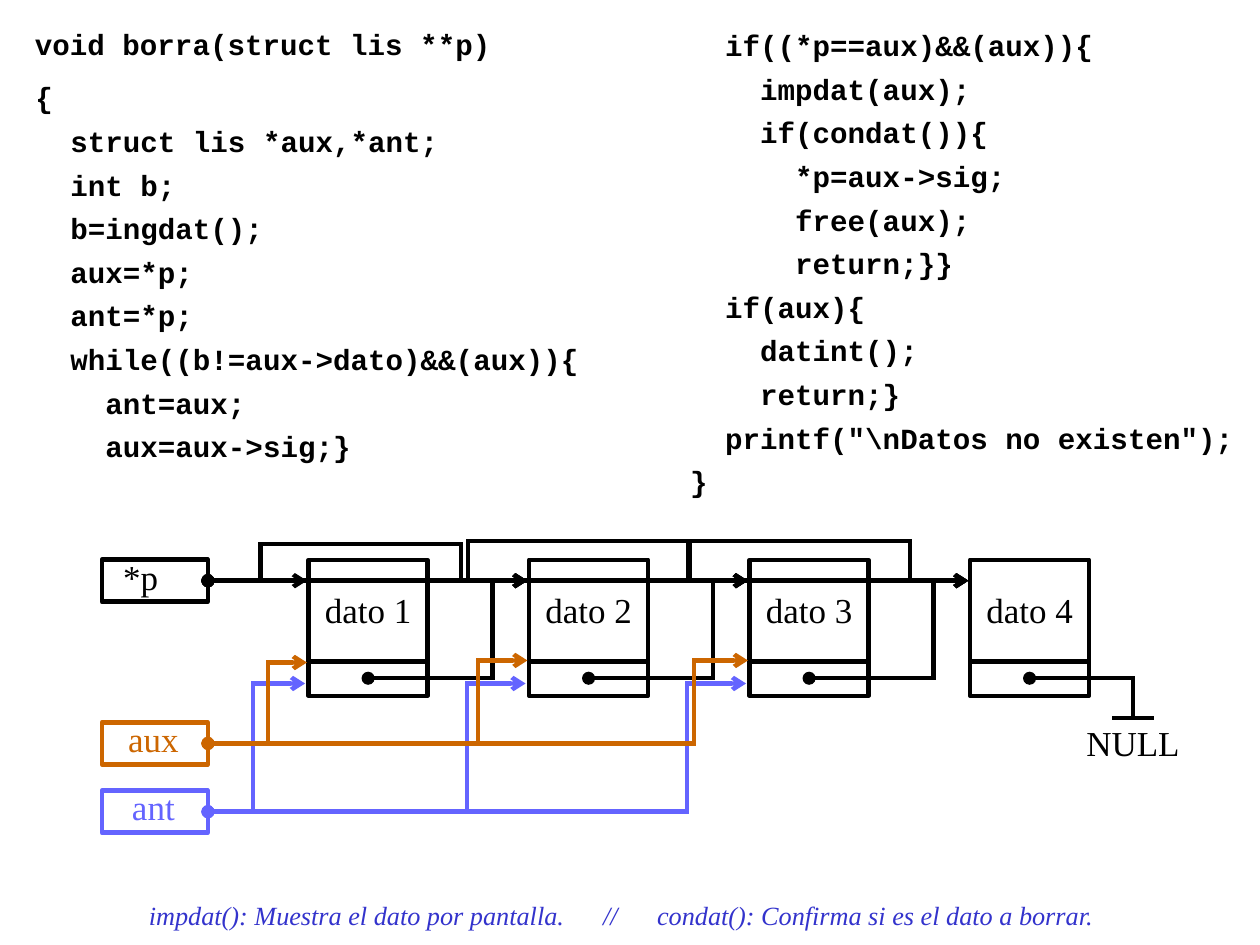
from dataclasses import dataclass
from itertools import pairwise

from pptx import Presentation
from pptx.dml.color import RGBColor
from pptx.enum.shapes import MSO_CONNECTOR, MSO_SHAPE
from pptx.enum.text import MSO_ANCHOR, MSO_AUTO_SIZE, PP_ALIGN
from pptx.oxml.ns import qn
from pptx.util import Pt
from lxml.etree import SubElement


@dataclass(frozen=True)
class Theme:
    black: str = "000000"
    white: str = "FFFFFF"
    aux: str = "CC6600"
    ant: str = "6464FF"
    caption: str = "3333CC"
    code_font: str = "Courier New"
    label_font: str = "Times New Roman"
    code_size: float = 20
    label_size: float = 24
    caption_size: float = 18
    line_width: float = 3
    code_gap: float = 5.9


class SlideBuilder:
    def __init__(self, slide, theme):
        self.slide = slide
        self.theme = theme

    def style(self, paragraph, font_name, size, color, bold=False, italic=False):
        font = paragraph.font
        font.name, font.size = font_name, Pt(size)
        font.bold, font.italic = bold, italic
        font.color.rgb = RGBColor.from_string(color)

    def code(self, placeholder, left, top, width, height, lines):
        placeholder.left, placeholder.top = Pt(left), Pt(top)
        placeholder.width, placeholder.height = Pt(width), Pt(height)
        frame = placeholder.text_frame
        frame.text = "\n".join(lines)
        frame.word_wrap = True
        frame.auto_size = MSO_AUTO_SIZE.NONE
        frame.vertical_anchor = MSO_ANCHOR.TOP
        for index, paragraph in enumerate(frame.paragraphs):
            properties = paragraph._p.get_or_add_pPr()
            properties.set("marL", "0")
            properties.set("indent", "0")
            SubElement(properties, qn("a:buNone"))
            paragraph.alignment = PP_ALIGN.LEFT
            paragraph.space_before = Pt(self.theme.code_gap if index else 0)
            self.style(paragraph, self.theme.code_font, self.theme.code_size,
                       self.theme.black, bold=True)

    def label(self, frame, text, color, right=0, bottom=0):
        """Centre text in a frame; right and bottom insets shift it left and up."""
        frame.margin_left = frame.margin_top = 0
        frame.margin_right, frame.margin_bottom = Pt(right), Pt(bottom)
        frame.word_wrap = False
        frame.vertical_anchor = MSO_ANCHOR.MIDDLE
        paragraph = frame.paragraphs[0]
        paragraph.text = text
        paragraph.alignment = PP_ALIGN.CENTER
        self.style(paragraph, self.theme.label_font, self.theme.label_size, color)

    def box(self, left, top, width, height, text, color, right=0, bottom=0):
        shape = self.slide.shapes.add_shape(
            MSO_SHAPE.RECTANGLE, Pt(left), Pt(top), Pt(width), Pt(height))
        shape.shadow.inherit = False
        shape.fill.solid()
        shape.fill.fore_color.rgb = RGBColor.from_string(self.theme.white)
        shape.line.color.rgb = RGBColor.from_string(color)
        shape.line.width = Pt(self.theme.line_width)
        self.label(shape.text_frame, text, color, right, bottom)
        return shape

    def text(self, left, top, width, height, text, color):
        box = self.slide.shapes.add_textbox(Pt(left), Pt(top), Pt(width), Pt(height))
        self.label(box.text_frame, text, color)

    def caption(self, left, top, width, height, text, tab_stops):
        box = self.slide.shapes.add_textbox(Pt(left), Pt(top), Pt(width), Pt(height))
        box.text_frame.word_wrap = True
        paragraph = box.text_frame.paragraphs[0]
        paragraph.text = text
        tabs = SubElement(paragraph._p.get_or_add_pPr(), qn("a:tabLst"))
        for position in tab_stops:
            SubElement(tabs, qn("a:tab"), pos=str(Pt(position)), algn="l")
        self.style(paragraph, self.theme.label_font, self.theme.caption_size,
                   self.theme.caption, italic=True)

    def line(self, start, end, color, head=None, tail=None):
        connector = self.slide.shapes.add_connector(
            MSO_CONNECTOR.STRAIGHT, *(Pt(value) for value in (*start, *end)))
        connector.line.color.rgb = RGBColor.from_string(color)
        connector.line.width = Pt(self.theme.line_width)
        properties = connector.element.spPr
        outline = properties.find(qn("a:ln"))
        if not tail:
            outline.set("cap", "sq")
        for tag, kind in (("a:headEnd", head), ("a:tailEnd", tail)):
            if kind:
                SubElement(outline, qn(tag), type=kind)
        SubElement(properties, qn("a:effectLst"))
        return connector

    def route(self, points, color, source=None, tail="arrow"):
        """Draw a wire through the points, from a dot to an arrowhead."""
        segments = list(pairwise(points))
        for index, (start, end) in enumerate(segments):
            connector = self.line(start, end, color,
                                  head=None if index else "oval",
                                  tail=tail if index == len(segments) - 1 else None)
            if source and index == 0:
                connector.begin_connect(source, 3)


SETUP_CODE = [
    "{",
    "  struct lis *aux,*ant;",
    "  int b;",
    "  b=ingdat();",
    "  aux=*p;",
    "  ant=*p;",
    "  while((b!=aux->dato)&&(aux)){",
    "    ant=aux;",
    "    aux=aux->sig;}",
]
DELETE_CODE = [
    "  if((*p==aux)&&(aux)){",
    "    impdat(aux);",
    "    if(condat()){",
    "      *p=aux->sig;",
    "      free(aux);",
    "      return;}}",
    "  if(aux){",
    "    datint();",
    "    return;}",
    '  printf("\\nDatos no existen");',
    "}",
]
NODE_LEFTS = [211.7 + 151.2 * index for index in range(4)]
NODE_TOP, NODE_WIDTH, NODE_HEIGHT = 383.8, 81.4, 93.4
DIVIDER_Y, LINK_Y = 453.6, 465.1
POINTER_LEFT, POINTER_WIDTH, POINTER_HEIGHT = 69.8, 72.8, 28.8
POINTER_RIGHT = POINTER_LEFT + POINTER_WIDTH
P_Y, AUX_Y, ANT_Y = 398.2, 509.8, 556.6
NULL_X, NULL_Y = 776.9, 492.3


def main():
    presentation = Presentation()
    presentation.slide_width, presentation.slide_height = Pt(864), Pt(648)
    slide = presentation.slides.add_slide(presentation.slide_layouts[3])
    theme = Theme()
    builder = SlideBuilder(slide, theme)
    title, setup, delete = slide.placeholders
    builder.code(title, 16.7, 14.4, 388, 31, ["void borra(struct lis **p)"])
    builder.code(setup, 17, 51, 400, 272, SETUP_CODE)
    builder.code(delete, 466, 15.2, 396, 332, DELETE_CODE)

    for number, left in enumerate(NODE_LEFTS, 1):
        builder.box(left, NODE_TOP, NODE_WIDTH, NODE_HEIGHT, f"dato {number}",
                    theme.black, bottom=24.6)
        builder.line((left, DIVIDER_Y), (left + NODE_WIDTH, DIVIDER_Y), theme.black)
    p_box, aux_box, ant_box = (
        builder.box(POINTER_LEFT, y - POINTER_HEIGHT / 2, POINTER_WIDTH,
                    POINTER_HEIGHT, name, color, right, bottom)
        for name, y, color, right, bottom in (
            ("*p", P_Y, theme.black, 19.4, 6),
            ("aux", AUX_Y, theme.aux, 2, 7),
            ("ant", ANT_Y, theme.ant, 2, 7)))

    p_start = (POINTER_RIGHT, P_Y)
    arrow_ends = [left - 1.2 for left in NODE_LEFTS]
    for end in arrow_ends:
        builder.route([p_start, (end, P_Y)], theme.black, p_box)
    bypasses = ((178.6, 316.1, 373), (321.1, 473, 370.8), (471.6, 624.2, 370.8))
    for (rise, fall, y), end in zip(bypasses, arrow_ends[1:]):
        builder.route([p_start, (rise, P_Y), (rise, y), (fall, y), (fall, P_Y),
                       (end, P_Y)], theme.black, p_box)

    for left, end in zip(NODE_LEFTS, arrow_ends[1:]):
        turn = left + 126
        builder.route([(left + NODE_WIDTH / 2, LINK_Y), (turn, LINK_Y),
                       (turn, P_Y), (end, P_Y)], theme.black)
    builder.route([(NODE_LEFTS[-1] + NODE_WIDTH / 2, LINK_Y), (NULL_X, LINK_Y),
                   (NULL_X, NULL_Y)], theme.black, tail=None)
    builder.line((NULL_X - 13, NULL_Y), (NULL_X + 13, NULL_Y), theme.black)
    builder.text(NULL_X - 36, 497, 72, 24.5, "NULL", theme.black)

    for box, y, color, gap, turns in (
            (ant_box, ANT_Y, theme.ant, 2.5, ((173.5, 468.7), (320.4, 468.7), (470.9, 468.7))),
            (aux_box, AUX_Y, theme.aux, 1.2, ((183.6, 454.3), (327.6, 452.9), (475.9, 452.9)))):
        for (turn, target_y), left in zip(turns, NODE_LEFTS):
            builder.route([(POINTER_RIGHT, y), (turn, y), (turn, target_y),
                           (left - gap, target_y)], color, box)

    builder.caption(95, 613.4, 690, 28.8,
                    "impdat(): Muestra el dato por pantalla.\t//\t"
                    "condat(): Confirma si es el dato a borrar.", (311.5, 348.5))
    presentation.save("out.pptx")


if __name__ == "__main__":
    main()
